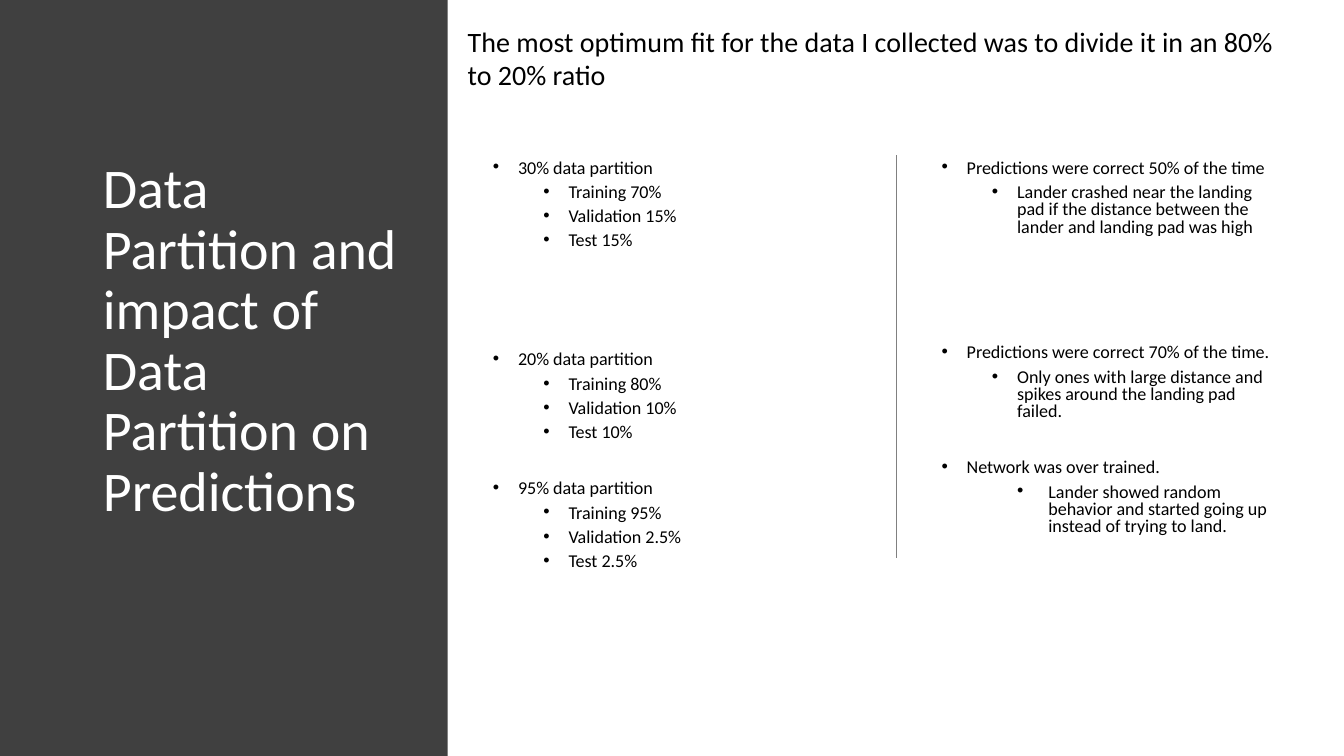
from dataclasses import dataclass

from lxml.etree import SubElement
from pptx import Presentation
from pptx.dml.color import RGBColor
from pptx.enum.shapes import MSO_CONNECTOR as Connector, MSO_SHAPE as Preset
from pptx.enum.text import MSO_ANCHOR as Anchor, MSO_AUTO_SIZE as AutoSize, PP_ALIGN as Align
from pptx.oxml.ns import qn
from pptx.slide import Slide
from pptx.util import Inches, Pt


@dataclass(frozen=True)
class Theme:
    font: str = "Calibri"
    panel: RGBColor = RGBColor(0x40, 0x40, 0x40)
    divider: RGBColor = RGBColor(0x80, 0x80, 0x80)
    text: RGBColor = RGBColor(0, 0, 0)
    inverse: RGBColor = RGBColor(0xFF, 0xFF, 0xFF)
    title_size: float = 40
    headline_size: float = 20
    body_size: float = 12.9


@dataclass(frozen=True)
class Group:
    heading: str
    details: tuple[str, ...]
    space_before: float = 0
    detail_margin: float = 0.75
    detail_hang: float = 0.25


@dataclass(frozen=True)
class Column:
    left: float
    width: float
    groups: tuple[Group, ...]


THEME = Theme()
BODY_TOP, BODY_HEIGHT = 1.54, 4.77
COLUMNS = (
    Column(4.79, 3.75, (
        Group("30% data partition", ("Training 70%", "Validation 15%", "Test 15%")),
        Group("20% data partition", ("Training 80%", "Validation 10%", "Test 10%"), 72.5),
        Group("95% data partition", ("Training 95%", "Validation 2.5%", "Test 2.5%"), 27.5),
    )),
    Column(9.24, 3.5, (
        Group("Predictions were correct 50% of the time",
              ("Lander crashed near the landing pad if the distance between "
               "the lander and landing pad was high",)),
        Group("Predictions were correct 70% of the time.",
              ("Only ones with large distance and spikes around the landing pad failed.",), 77.5),
        Group("Network was over trained.",
              ("Lander showed random behavior and started going up instead of trying to land.",),
              27.5, 1.06, 0.31),
    )),
)


def style(paragraph, size: float, color: RGBColor) -> None:
    paragraph.alignment = Align.LEFT
    paragraph.font.name = THEME.font
    paragraph.font.size = Pt(size)
    paragraph.font.color.rgb = color


def add_text_box(slide: Slide, left: float, top: float, width: float, height: float):
    frame = slide.shapes.add_textbox(
        Inches(left), Inches(top), Inches(width), Inches(height)).text_frame
    frame.word_wrap = True
    return frame


def add_bullet(paragraph, margin: float, hang: float) -> None:
    properties = paragraph._p.get_or_add_pPr()
    properties.set("marL", str(Inches(margin)))
    properties.set("indent", str(-Inches(hang)))
    SubElement(properties, qn("a:buFont"), typeface="Arial")
    SubElement(properties, qn("a:buChar"), char="•")


def add_title(slide: Slide) -> None:
    """Fill the title placeholder and put the dark panel behind it."""
    title = slide.shapes.title
    title.left, title.top = Inches(0.92), Inches(BODY_TOP)
    title.width, title.height = Inches(3.17), Inches(BODY_HEIGHT)
    frame = title.text_frame
    frame.text = "Data Partition and impact of Data Partition on Predictions"
    frame.word_wrap = True
    frame.auto_size = AutoSize.NONE
    frame.vertical_anchor = Anchor.TOP
    paragraph = frame.paragraphs[0]
    paragraph.line_spacing = 0.9
    style(paragraph, THEME.title_size, THEME.inverse)

    panel = slide.shapes.add_shape(Preset.RECTANGLE, 0, 0, Inches(4.44), Inches(7.5))
    panel.shadow.inherit = False
    panel.fill.solid()
    panel.fill.fore_color.rgb = THEME.panel
    panel.line.fill.background()
    title.element.addprevious(panel.element)


def add_headline(slide: Slide) -> None:
    paragraph = add_text_box(slide, 4.54, 0.19, 8.35, 0.77).paragraphs[0]
    paragraph.text = ("The most optimum fit for the data I collected was "
                      "to divide it in an 80% to 20% ratio")
    paragraph.space_after = Pt(6)
    style(paragraph, THEME.headline_size, THEME.text)


def add_column(slide: Slide, column: Column) -> None:
    frame = add_text_box(slide, column.left, BODY_TOP, column.width, BODY_HEIGHT)
    frame.margin_right = Inches(0.05)
    paragraph = frame.paragraphs[0]
    for group in column.groups:
        lines = [(group.heading, 0, group.space_before, 0.25, 0.25)]
        lines += [(detail, 1, 5, group.detail_margin, group.detail_hang)
                  for detail in group.details]
        for text, level, space_before, margin, hang in lines:
            if paragraph.text:
                paragraph = frame.add_paragraph()
            paragraph.text = text
            paragraph.level = level
            paragraph.line_spacing = 0.8
            paragraph.space_before = Pt(space_before)
            style(paragraph, THEME.body_size, THEME.text)
            add_bullet(paragraph, margin, hang)


def add_divider(slide: Slide) -> None:
    divider = slide.shapes.add_connector(
        Connector.STRAIGHT, Inches(8.89), Inches(BODY_TOP), Inches(8.89), Inches(5.54))
    divider.line.color.rgb = THEME.divider
    divider.line.width = Pt(1)
    SubElement(divider.element.spPr, qn("a:effectLst"))


def main() -> None:
    presentation = Presentation()
    presentation.slide_width, presentation.slide_height = Inches(13.33), Inches(7.5)
    slide = presentation.slides.add_slide(presentation.slide_layouts.get_by_name("Title Only"))
    add_title(slide)
    for column in COLUMNS:
        add_column(slide, column)
    add_divider(slide)
    add_headline(slide)
    presentation.save("out.pptx")


if __name__ == "__main__":
    main()
